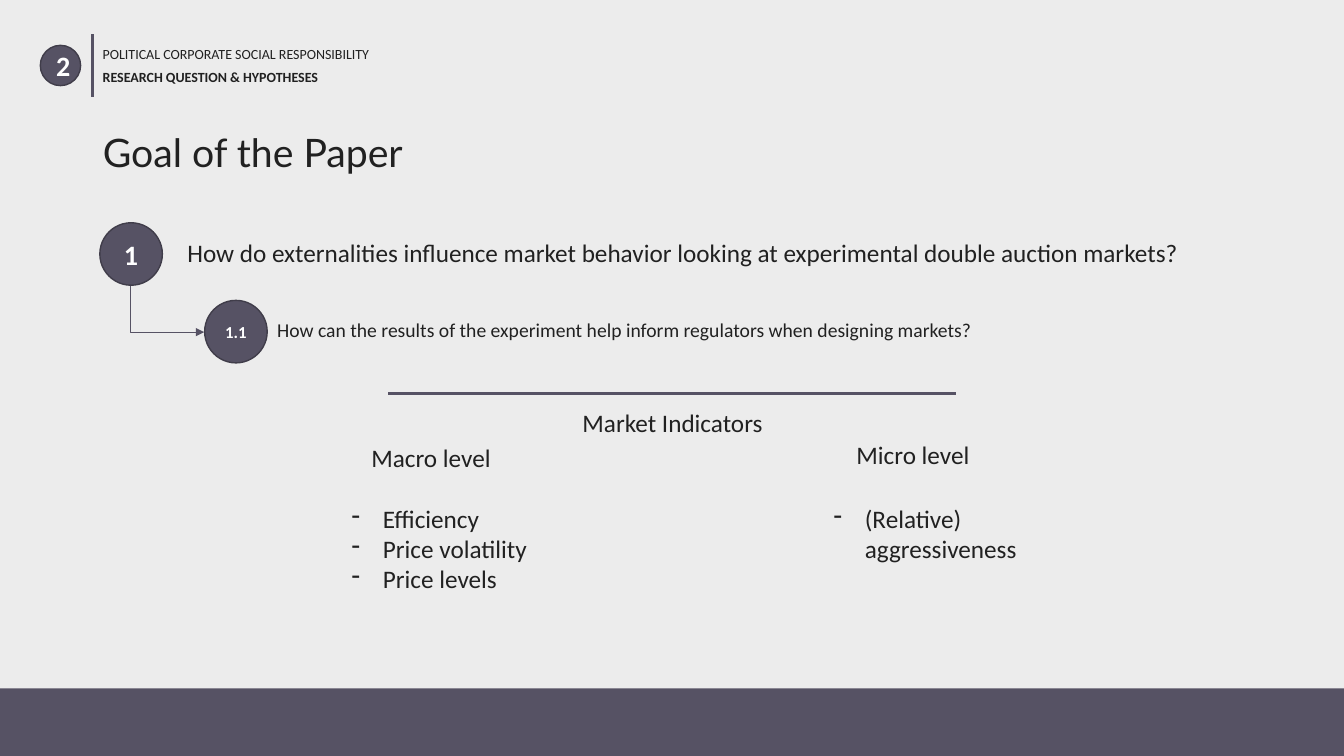
"""Builds the "Goal of the Paper" slide with research questions and market indicators."""
from dataclasses import dataclass

from lxml import etree
from pptx import Presentation
from pptx.dml.color import RGBColor
from pptx.enum.shapes import MSO_CONNECTOR, MSO_SHAPE
from pptx.enum.text import MSO_ANCHOR, MSO_AUTO_SIZE, PP_ALIGN
from pptx.oxml.ns import qn
from pptx.util import Inches, Pt

OVAL, RECTANGLE = MSO_SHAPE.OVAL, MSO_SHAPE.RECTANGLE
STRAIGHT, ELBOW = MSO_CONNECTOR.STRAIGHT, MSO_CONNECTOR.ELBOW
LEFT, CENTER = PP_ALIGN.LEFT, PP_ALIGN.CENTER
TOP, MIDDLE = MSO_ANCHOR.TOP, MSO_ANCHOR.MIDDLE
NO_FIT, GROW = MSO_AUTO_SIZE.NONE, MSO_AUTO_SIZE.SHAPE_TO_FIT_TEXT


@dataclass(frozen=True)
class Theme:
    background = RGBColor.from_string("ECECEC")
    accent = RGBColor.from_string("565264")
    outline = RGBColor.from_string("403D4A")
    ink = RGBColor.from_string("212121")
    white = RGBColor.from_string("FFFFFF")
    title_font = "Lato"
    body_font = "Calibri"
    title = Pt(28)
    number = Pt(20)
    body = Pt(18)
    detail = Pt(14)
    subnumber = Pt(12)
    header = Pt(10)


theme = Theme()


def write(paragraph, words, size, color=theme.ink, bold=False, align=LEFT, font=theme.body_font):
    paragraph.alignment = align
    run = paragraph.add_run()
    run.text = words
    run.font.name, run.font.size, run.font.bold = font, size, bold
    run.font.color.rgb = color


def add_line(kind, x1, y1, x2, y2, width):
    line = slide.shapes.add_connector(kind, Inches(x1), Inches(y1), Inches(x2), Inches(y2))
    line.line.color.rgb = theme.accent
    line.line.width = Pt(width)
    etree.SubElement(line._element.spPr, qn("a:effectLst"))
    return line


prs = Presentation()
prs.slide_width, prs.slide_height = Inches(13.33), Inches(7.5)
slide = prs.slides.add_slide(prs.slide_layouts[5])
slide.background.fill.solid()
slide.background.fill.fore_color.rgb = theme.background

footer_band = slide.shapes.add_shape(RECTANGLE, 0, Inches(6.83), prs.slide_width, Inches(0.67))
footer_band.shadow.inherit = False
footer_band.fill.solid()
footer_band.fill.fore_color.rgb = theme.accent
footer_band.line.fill.background()

title = slide.shapes.title
title.left, title.top, title.width, title.height = Inches(0.92), Inches(1.23), Inches(11.5), Inches(0.62)
title.text_frame.auto_size = NO_FIT
title.text_frame.vertical_anchor = MIDDLE
heading = title.text_frame.paragraphs[0]
heading.line_spacing = 0.9
write(heading, "Goal of the Paper", theme.title, font=theme.title_font)

for label, left, top, diameter, size in [
    ("2", 0.4, 0.45, 0.4, theme.number),
    ("1", 0.99, 2.21, 0.62, theme.number),
    ("1.1", 2.03, 2.98, 0.62, theme.subnumber),
]:
    badge = slide.shapes.add_shape(OVAL, Inches(left), Inches(top), Inches(diameter), Inches(diameter))
    badge.shadow.inherit = False
    badge.fill.solid()
    badge.fill.fore_color.rgb = theme.accent
    badge.line.color.rgb = theme.outline
    badge.line.width = Pt(1)
    badge.text_frame.vertical_anchor = MIDDLE
    write(badge.text_frame.paragraphs[0], label, size, theme.white, True, CENTER)

add_line(STRAIGHT, 0.92, 0.34, 0.92, 0.96, 2.25)
add_line(STRAIGHT, 3.85, 3.9, 9.48, 3.9, 2.25)

subquestion_arrow = add_line(ELBOW, 1.89, 2.7, 1.43, 3.43, 0.5)
arrow_properties = subquestion_arrow._element.spPr
arrow_properties.find(qn("a:xfrm")).set("rot", str(270 * 60000))
arrow_properties.find(qn("a:prstGeom")).set("prst", "bentConnector2")
etree.SubElement(arrow_properties.find(qn("a:ln")), qn("a:tailEnd"), type="triangle")

question = "How do externalities influence market behavior looking at experimental double auction markets?"
subquestion = "How can the results of the experiment help inform regulators when designing markets?"
macro_left, micro_left = 3.39, 8.17
for lines, left, top, width, height, size, bold, align, anchor, bulleted in [
    (["RESEARCH QUESTION & HYPOTHESES"], 0.92, 0.63, 4.01, 0.27, theme.header, True, LEFT, TOP, False),
    (["POLITICAL CORPORATE SOCIAL RESPONSIBILITY"], 0.92, 0.4, 4.39, 0.27, theme.header, False, LEFT, TOP, False),
    ([question], 1.76, 2.3, 10.57, 0.41, theme.body, False, LEFT, MIDDLE, False),
    ([subquestion], 2.65, 3.1, 10.57, 0.34, theme.detail, False, LEFT, MIDDLE, False),
    (["Market Indicators"], 5.38, 3.99, 2.58, 0.4, theme.body, False, CENTER, TOP, False),
    (["Macro level"], macro_left, 4.34, 1.77, 0.4, theme.body, False, CENTER, TOP, False),
    (["Micro level"], micro_left, 4.31, 1.77, 0.4, theme.body, False, CENTER, TOP, False),
    (["Efficiency", "Price volatility", "Price levels"],
     macro_left, 4.94, 2.44, 1.01, theme.body, False, LEFT, TOP, True),
    (["(Relative) aggressiveness"], micro_left, 4.94, 2.44, 0.71, theme.body, False, LEFT, TOP, True),
]:
    frame = slide.shapes.add_textbox(Inches(left), Inches(top), Inches(width), Inches(height)).text_frame
    frame.word_wrap = True
    frame.auto_size = GROW
    frame.vertical_anchor = anchor
    for index, words in enumerate(lines):
        paragraph = frame.add_paragraph() if index else frame.paragraphs[0]
        write(paragraph, words, size, bold=bold, align=align)
        if bulleted:
            properties = paragraph._p.get_or_add_pPr()
            properties.set("marL", str(Inches(0.31)))
            properties.set("indent", str(-Inches(0.31)))
            etree.SubElement(properties, qn("a:buChar"), char="-")

prs.save("out.pptx")
